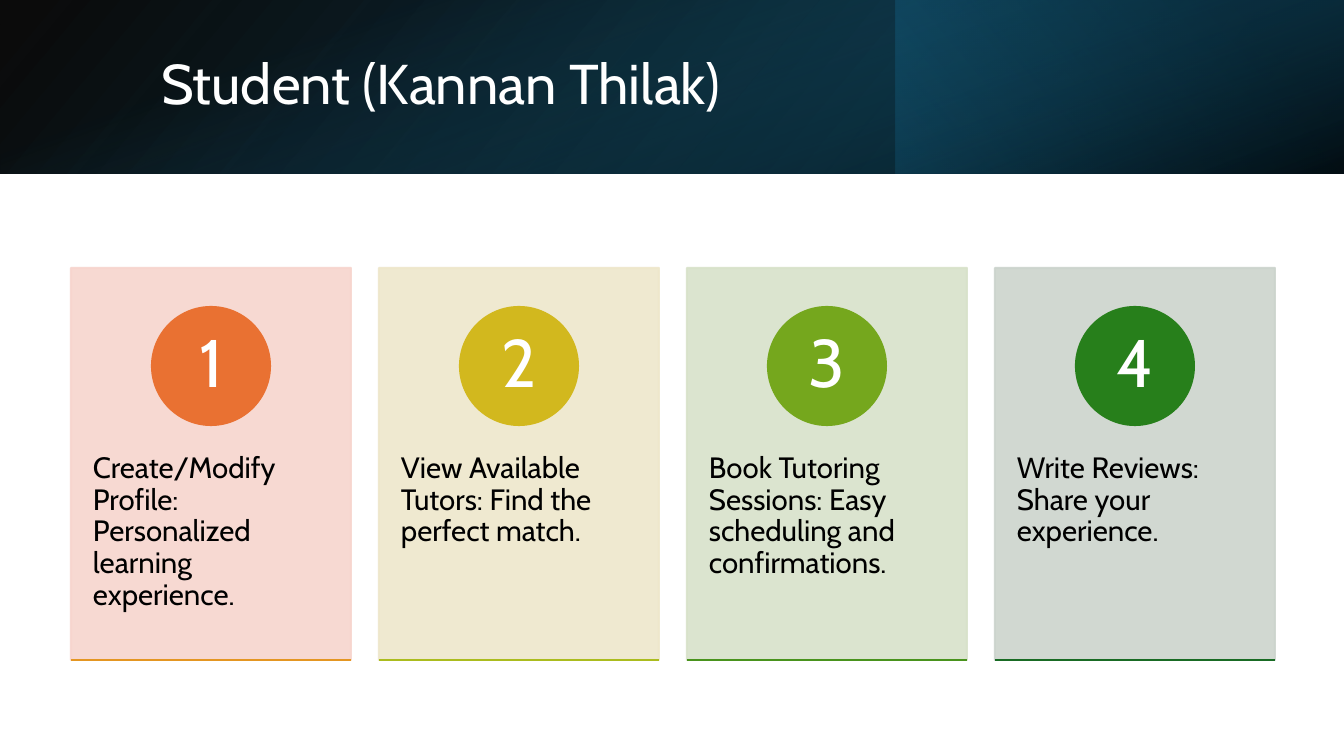
import pptx
import pptx.util
import pptx.dml.color
import pptx.enum.shapes
import pptx.enum.text
import pptx.oxml
import pptx.oxml.ns

PX = 12192000 / 1344
COLORS = {
    "white": "FFFFFF", "black": "000000",
    "navy": "104862", "deep": "0B3041", "teal": "156082",
}
BAND_H = 174
CARD_X, CARD_Y, CARD_W, CARD_H, CARD_PITCH = 71, 268, 280, 392, 308
CIRCLE_Y, CIRCLE_D, NUMBER_D = 307, 118, 82
BODY_Y, BODY_H = 417, 235
SHAPE = pptx.enum.shapes.MSO_SHAPE
ALIGN = pptx.enum.text.PP_ALIGN
ANCHOR = pptx.enum.text.MSO_ANCHOR
qn = pptx.oxml.ns.qn


def px(*lengths):
    return [round(n * PX) for n in lengths]


def write(sp, text, size, color, align, anchor, insets):
    """Fill the text frame of sp with one run; insets are (side, top) in px."""
    tf = sp.text_frame
    tf.word_wrap = True
    tf.auto_size = pptx.enum.text.MSO_AUTO_SIZE.NONE
    tf.vertical_anchor = anchor
    tf.margin_left, tf.margin_top = px(*insets)
    tf.margin_right, tf.margin_bottom = px(*insets)
    p = tf.paragraphs[0]
    p.alignment = align
    p.line_spacing = 0.9
    r = p.add_run()
    r.text = text
    r.font.size = pptx.util.Pt(size)
    r.font.name = "Cabin"
    r.font.color.rgb = pptx.dml.color.RGBColor.from_string(COLORS[color])


prs = pptx.Presentation()
prs.slide_width, prs.slide_height = px(1344, 756)
slide = prs.slides.add_slide(prs.slide_layouts[5])
shapes = slide.shapes

# Header band: three layered gradients, stops as (position, colour, opacity)
bands = [
    ((0, 0, 1344, BAND_H), 0, True, 140, [(0, "black", 96), (100, "navy", 100)]),
    ((896, 0, 448, BAND_H), 180, False, 320, [(19, "deep", 68), (100, "teal", 79)]),
    ((585, -585, BAND_H, 1344), 90, False, 340, [(23, "teal", 0), (99, "black", 74)]),
]
for box, rotation, flipped, angle, stops in bands:
    sp = shapes.add_shape(SHAPE.RECTANGLE, *px(*box))
    sp.shadow.inherit = False
    sp.line.fill.background()
    sp.rotation = rotation
    spPr = sp._element.spPr
    if flipped:
        spPr.find(qn("a:xfrm")).set("flipH", "1")
    gs = "".join(
        f'<a:gs pos="{pos * 1000}"><a:srgbClr val="{COLORS[color]}">'
        f'<a:alpha val="{alpha * 1000}"/></a:srgbClr></a:gs>'
        for pos, color, alpha in stops
    )
    spPr.find(qn("a:prstGeom")).addnext(pptx.oxml.parse_xml(
        f'<a:gradFill {pptx.oxml.ns.nsdecls("a")} rotWithShape="1"><a:gsLst>{gs}</a:gsLst>'
        f'<a:lin ang="{angle * 60000}" scaled="0"/></a:gradFill>'
    ))

title = shapes.title
title.left, title.top, title.width, title.height = px(151, 38, 1107, 97)
write(title, "Student (Kannan Thilak)", 40, "white", ALIGN.LEFT, ANCHOR.MIDDLE, (10, 5))
shapes._spTree.append(title._element)  # bring the title in front of the band

# Numbered cards: text, card colour, circle colour, base line colour
cards = [
    ("Create/Modify Profile: Personalized learning experience.", "F7D5CE", "E97132", "E49622"),
    ("View Available Tutors: Find the perfect match.", "EEE7CB", "D2B81E", "ABBC1E"),
    ("Book Tutoring Sessions: Easy scheduling and confirmations.", "D8E2CA", "75A71D", "49931D"),
    ("Write Reviews: Share your experience.", "CCD4CD", "277F1B", "196B24"),
]
for i, (text, card_color, circle_color, base_color) in enumerate(cards):
    x = CARD_X + i * CARD_PITCH
    circle_x = x + (CARD_W - CIRCLE_D) // 2
    inset = (CIRCLE_D - NUMBER_D) // 2

    card = shapes.add_shape(SHAPE.RECTANGLE, *px(x, CARD_Y, CARD_W, CARD_H))
    body = shapes.add_textbox(*px(x, BODY_Y, CARD_W, BODY_H))
    write(body, text, 21, "black", ALIGN.LEFT, ANCHOR.TOP, (22, 36))
    circle = shapes.add_shape(SHAPE.OVAL, *px(circle_x, CIRCLE_Y, CIRCLE_D, CIRCLE_D))
    for sp, color in ((card, card_color), (circle, circle_color)):
        rgb = pptx.dml.color.RGBColor.from_string(color)
        sp.shadow.inherit = False
        sp.fill.solid()
        sp.fill.fore_color.rgb = rgb
        sp.line.color.rgb = rgb
        sp.line.width = pptx.util.Pt(1.5)
    for clr in card._element.spPr.iter(qn("a:srgbClr")):
        pptx.oxml.ns  # namespace helpers
        clr.append(pptx.oxml.parse_xml(f'<a:alpha {pptx.oxml.ns.nsdecls("a")} val="90000"/>'))

    number = shapes.add_textbox(*px(circle_x + inset, CIRCLE_Y + inset, NUMBER_D, NUMBER_D))
    write(number, str(i + 1), 48, "white", ALIGN.CENTER, ANCHOR.MIDDLE, (9, 1))

    base_y = CARD_Y + CARD_H
    base = shapes.add_connector(
        pptx.enum.shapes.MSO_CONNECTOR.STRAIGHT, *px(x, base_y, x + CARD_W, base_y))
    base.line.color.rgb = pptx.dml.color.RGBColor.from_string(base_color)
    base.line.width = pptx.util.Pt(1.5)
    base._element.spPr.append(
        pptx.oxml.parse_xml(f'<a:effectLst {pptx.oxml.ns.nsdecls("a")}/>'))

prs.save("out.pptx")
